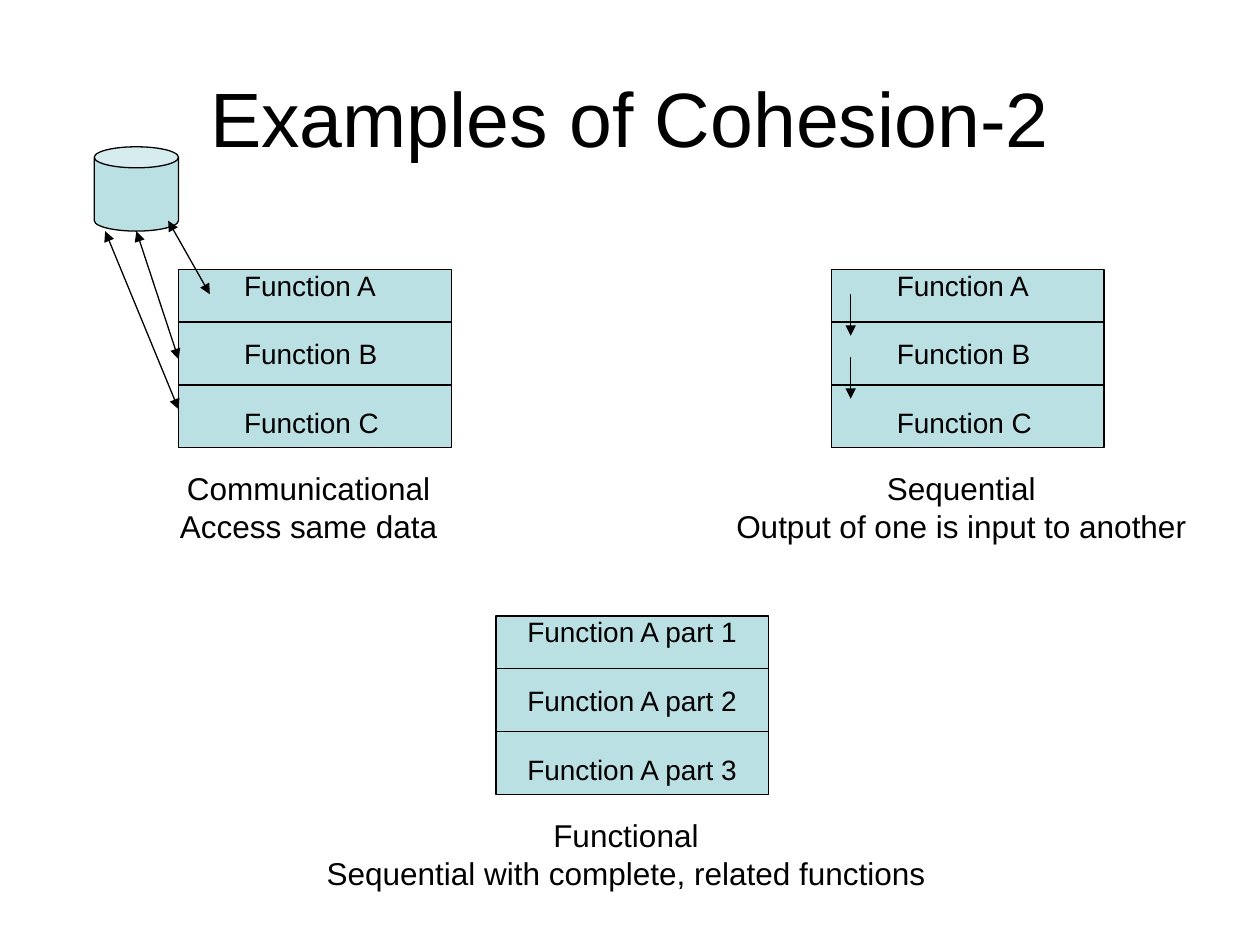
from lxml.etree import SubElement
from pptx import Presentation
from pptx.dml.color import RGBColor as Rgb
from pptx.enum.shapes import MSO_CONNECTOR as Link, MSO_SHAPE as Preset
from pptx.enum.text import MSO_ANCHOR as Anchor, PP_ALIGN as Align
from pptx.oxml.ns import qn
from pptx.util import Cm, Pt

TITLE = "Examples of Cohesion-2"
FUNCTIONS = ["Function A", "Function B", "Function C"]
PARTS = ["Function A part 1", "Function A part 2", "Function A part 3"]

# Lengths are in centimetres.
MODULES = [
    {"corner": (10, 12.42), "labels": PARTS, "label_inset": 0.38,
     "caption": ["Functional", "Sequential with complete, related functions"]},
    {"corner": (3.6, 5.43), "labels": FUNCTIONS, "label_inset": 1.07,
     "caption": ["Communicational", "Access same data"]},
    {"corner": (16.76, 5.43), "labels": FUNCTIONS, "label_inset": 1.07,
     "caption": ["Sequential", "Output of one is input to another"]},
]
DATA_STORE = (1.9, 2.96, 1.7, 1.7)
DATA_ACCESS = [
    ((2.75, 4.66), (3.6, 7.24)),
    ((3.39, 4.45), (4.23, 5.93)),
    ((2.12, 4.66), (3.6, 8.25)),
]
OUTPUT_TO_INPUT = [((17.15, top), (17.15, top + 0.84)) for top in (5.93, 7.2)]

MODULE_W, MODULE_H = 5.5, 3.6
DIVIDERS = (1.06, 2.33)
LABEL_RISE = 0.15
CAPTION_DROP, CAPTION_W, CAPTION_H, CAPTION_SHIFT = 3.91, 12.6, 1.78, -0.13

THEME = {
    "fill": Rgb(0xBB, 0xE0, 0xE3),
    "ink": Rgb(0, 0, 0),
    "line": Pt(0.75),
    "title": {"name": "Arial", "size": Pt(44)},
    "label": {"name": "Arial", "size": Pt(16)},
    "caption": {"name": "Arial", "size": Pt(18)},
}


def apply(target, formats):
    for attribute, value in formats.items():
        setattr(target, attribute, value)


def outline(line):
    line.color.rgb = THEME["ink"]
    line.width = THEME["line"]


def add_text(slide, frame, lines, role, paragraph_format, anchor=Anchor.TOP, gap=0):
    """Write one paragraph per line, with gap points between them."""
    text = slide.shapes.add_textbox(*map(Cm, frame)).text_frame
    apply(text, {"word_wrap": True, "vertical_anchor": anchor})
    for index, line in enumerate(lines):
        paragraph = text.paragraphs[0] if index == 0 else text.add_paragraph()
        apply(paragraph, paragraph_format)
        paragraph.space_before = Pt(gap if index else 0)
        run = paragraph.add_run()
        run.text = line
        apply(run.font, THEME[role])
        run.font.color.rgb = THEME["ink"]


def add_block(slide, preset, frame):
    block = slide.shapes.add_shape(preset, *map(Cm, frame))
    block.shadow.inherit = False
    block.fill.solid()
    block.fill.fore_color.rgb = THEME["fill"]
    outline(block.line)


def add_line(slide, start, end, arrow_ends=()):
    """Draw a line with arrowheads at the named ends, headEnd before tailEnd."""
    link = slide.shapes.add_connector(Link.STRAIGHT, *map(Cm, start + end))
    outline(link.line)
    properties = link.line._get_or_add_ln()
    for arrow_end in arrow_ends:
        SubElement(properties, qn(f"a:{arrow_end}"), type="triangle")
    SubElement(link._element.spPr, qn("a:effectLst"))


def add_module(slide, corner, labels, label_inset, caption):
    left, top = corner
    add_block(slide, Preset.RECTANGLE, (left, top, MODULE_W, MODULE_H))
    for drop in DIVIDERS:
        add_line(slide, (left, top + drop), (left + MODULE_W, top + drop))
    label_frame = (left + label_inset, top - LABEL_RISE,
                   MODULE_W - label_inset, MODULE_H)
    add_text(slide, label_frame, labels, "label", {"alignment": Align.LEFT}, gap=20)
    caption_left = left + (MODULE_W - CAPTION_W) / 2 + CAPTION_SHIFT
    caption_frame = (caption_left, top + CAPTION_DROP, CAPTION_W, CAPTION_H)
    add_text(slide, caption_frame, caption, "caption", {"alignment": Align.CENTER})


def main():
    deck = Presentation()
    apply(deck, {"slide_width": Cm(25.4), "slide_height": Cm(19.05)})
    slide = deck.slides.add_slide(deck.slide_layouts[6])
    add_text(slide, (1.27, 0.76, 22.86, 3.18), [TITLE], "title",
             {"alignment": Align.CENTER}, Anchor.MIDDLE)
    for module in MODULES:
        add_module(slide, **module)
    add_block(slide, Preset.CAN, DATA_STORE)
    for start, end in DATA_ACCESS:
        add_line(slide, start, end, ("headEnd", "tailEnd"))
    for start, end in OUTPUT_TO_INPUT:
        add_line(slide, start, end, ("tailEnd",))
    deck.save("out.pptx")


if __name__ == "__main__":
    main()
